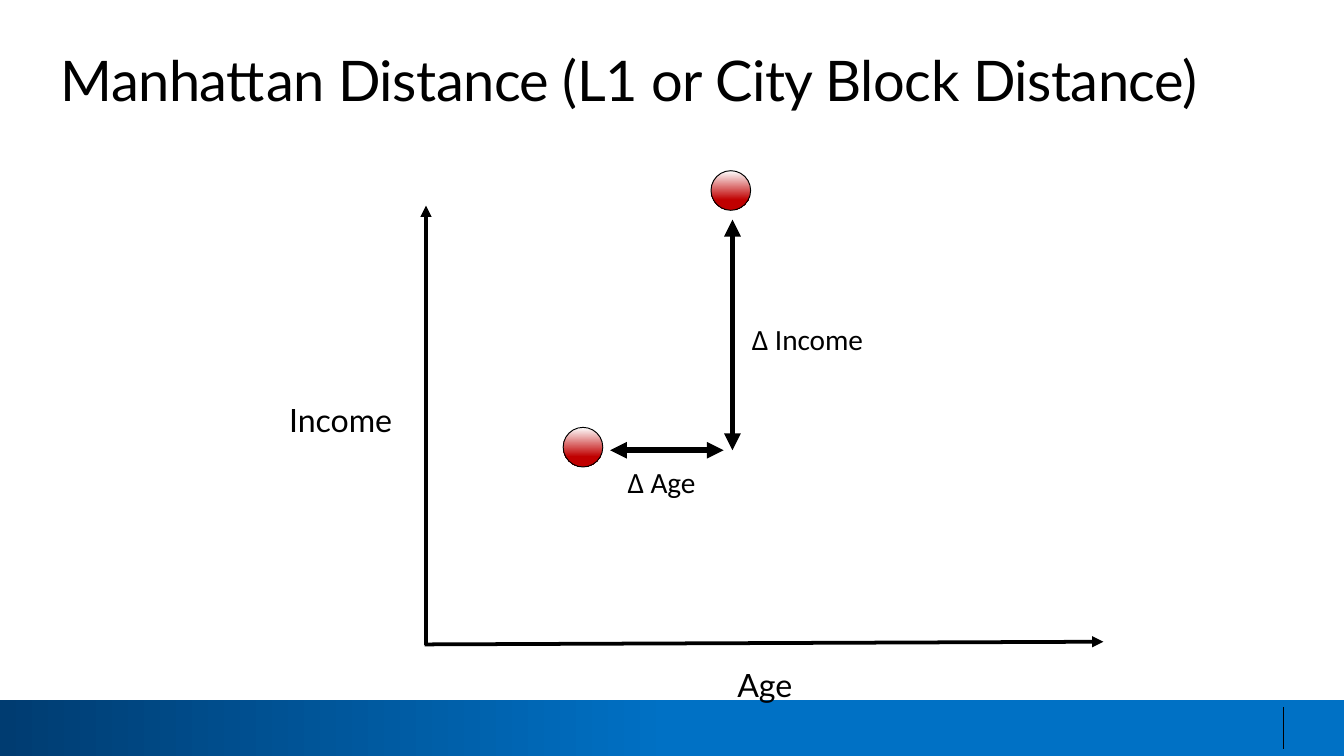
from dataclasses import dataclass

import pptx
import pptx.dml.color
import pptx.enum.shapes
import pptx.enum.text
import pptx.oxml
import pptx.oxml.ns
import pptx.util

PX = 4572  # EMU in one px, 200 px to the inch
ALIGN = pptx.enum.text.PP_ALIGN
SHAPE = pptx.enum.shapes.MSO_SHAPE


@dataclass(frozen=True)
class Theme:
    ink: str = "000000"
    footer_dark: str = "003C71"
    footer_light: str = "0071C5"
    point_light: str = "FEFFFF"
    point_dark: str = "C00000"
    heading_font: str = "Lato"
    delta_font: str = "Calibri"
    title_size: float = 30
    axis_size: float = 17.2
    delta_size: float = 27
    axis_spacing: float = 28.5
    delta_spacing: float = 19.5


THEME = Theme()


def px(*lengths):
    return [pptx.util.Emu(length * PX) for length in lengths]


def rgb(colour):
    return pptx.dml.color.RGBColor.from_string(colour)


def write(box, text, font, size, align=ALIGN.LEFT):
    """Fill a text box or placeholder with one run; return paragraph and run."""
    frame = box.text_frame
    frame.word_wrap = True
    frame.auto_size = pptx.enum.text.MSO_AUTO_SIZE.NONE
    frame.vertical_anchor = pptx.enum.text.MSO_ANCHOR.TOP
    frame.margin_left = px(2)[0]
    frame.margin_top = frame.margin_right = frame.margin_bottom = 0
    paragraph = frame.paragraphs[0]
    paragraph.alignment = align
    run = paragraph.add_run()
    run.text = text
    run.font.name = font
    run.font.size = pptx.util.Pt(size)
    run.font.color.rgb = rgb(THEME.ink)
    return paragraph, run


def add_gradient_shape(slide, kind, box, start, end, end_position, angle):
    shape = slide.shapes.add_shape(kind, *px(*box))
    shape.shadow.inherit = False
    shape.fill.gradient()
    shape.fill.gradient_angle = angle
    for stop, colour, position in zip(shape.fill.gradient_stops,
                                      (start, end), (0, end_position)):
        stop.color.rgb = rgb(colour)
        stop.position = position
    return shape


def add_line(slide, start, end, width, arrowheads=()):
    """Draw a line; arrowheads names its ends: headEnd (start), tailEnd (end)."""
    line = slide.shapes.add_connector(
        pptx.enum.shapes.MSO_CONNECTOR.STRAIGHT, *px(*start, *end))
    line.line.color.rgb = rgb(THEME.ink)
    line.line.width = pptx.util.Pt(width)
    namespace = pptx.oxml.ns.nsdecls("a")
    outline = line.line._get_or_add_ln()
    for arrowhead in arrowheads:
        outline.append(pptx.oxml.parse_xml(
            f'<a:{arrowhead} {namespace} type="triangle"/>'))
    line._element.spPr.append(
        pptx.oxml.parse_xml(f"<a:effectLst {namespace}/>"))


def add_title(slide, box):
    title = slide.shapes.title
    title.left, title.top, title.width, title.height = px(*box)
    _, run = write(title, "Manhattan Distance (L1 or City Block Distance)",
                   THEME.heading_font, THEME.title_size)
    run.font._element.set("spc", "-25")


def add_footer(slide, left, top, width, height):
    band = add_gradient_shape(slide, SHAPE.RECTANGLE, (left, top, width, height),
                              THEME.footer_dark, THEME.footer_light, 0.5, 0)
    band.line.fill.background()
    divider = left + width - 90
    add_line(slide, (divider, top + 10), (divider, top + height - 10), 0.75)


def add_axis_label(slide, text, box):
    label = slide.shapes.add_textbox(*px(*box))
    paragraph, _ = write(label, text, THEME.heading_font, THEME.axis_size,
                         ALIGN.CENTER)
    paragraph.line_spacing = pptx.util.Pt(THEME.axis_spacing)


def add_delta_label(slide, text, box):
    label = slide.shapes.add_textbox(*px(*box))
    paragraph, run = write(label, text, THEME.delta_font, THEME.delta_size)
    paragraph.line_spacing = pptx.util.Pt(THEME.delta_spacing)
    run.font._element.set("baseline", "2000")


def add_point(slide, left, top):
    point = add_gradient_shape(slide, SHAPE.OVAL, (left, top, 59, 59),
                               THEME.point_light, THEME.point_dark, 0.74, 270)
    point.line.color.rgb = rgb(THEME.ink)
    point.line.width = pptx.util.Pt(0.5)


def add_distance_plot(slide, left, top, width, height):
    """Axes span the box; the points and distances sit relative to it."""
    bottom = top + height
    add_line(slide, (left, bottom), (left, top), 2, ["tailEnd"])
    add_line(slide, (left - 2, bottom - 1), (left + width, bottom - 5), 2,
             ["tailEnd"])
    add_axis_label(slide, "Income", (left - 234, top + 268, 212, 76))
    add_axis_label(slide, "Age", (left + 141, bottom + 8, 724, 76))

    add_point(slide, left + 204, top + 330)
    add_point(slide, left + 424, top - 52)

    both_ends = ["headEnd", "tailEnd"]
    corner = left + 456
    level = top + 364
    add_line(slide, (corner, level), (corner, top + 21), 3, both_ends)
    add_line(slide, (corner - 13, level), (left + 274, level), 3, both_ends)
    add_delta_label(slide, "∆ Income", (corner + 27, top + 178, 198, 54))
    add_delta_label(slide, "∆ Age", (left + 298, level + 27, 128, 54))


def main():
    deck = pptx.Presentation()
    deck.slide_width, deck.slide_height = px(2000, 1125)
    slide = deck.slides.add_slide(deck.slide_layouts.get_by_name("Title Only"))
    add_title(slide, (88, 68, 1846, 100))
    add_footer(slide, 0, 1042, 2000, 83)
    add_distance_plot(slide, 634, 306, 1008, 654)
    deck.save("out.pptx")


if __name__ == "__main__":
    main()
